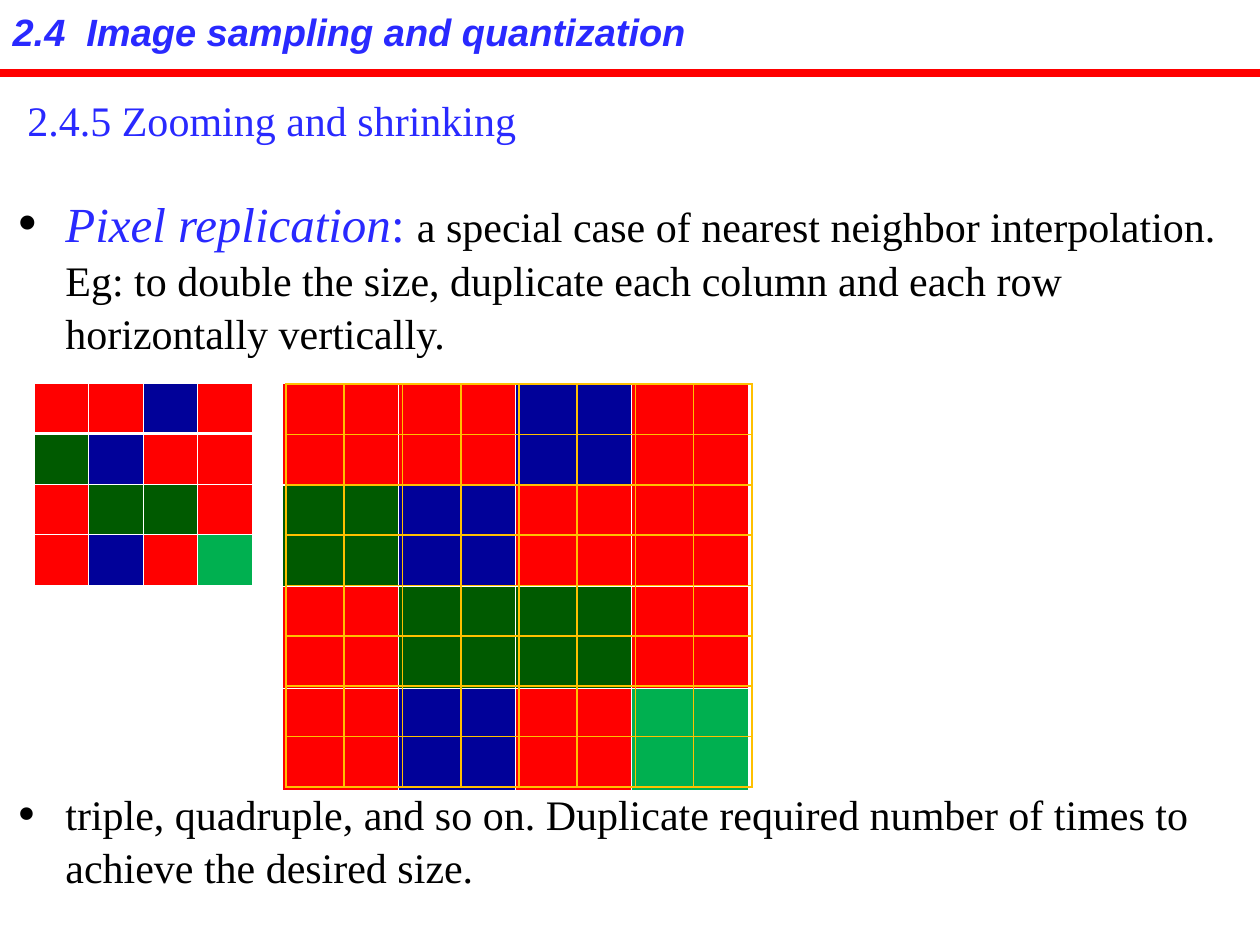
from lxml.etree import SubElement
from pptx import Presentation
from pptx.dml.color import RGBColor
from pptx.enum.shapes import MSO_CONNECTOR
from pptx.enum.text import MSO_ANCHOR, PP_ALIGN
from pptx.oxml.ns import qn
from pptx.util import Emu, Pt

# Content
TITLE = "2.4  Image sampling and quantization"
SUBTITLE = "2.4.5 Zooming and shrinking"
BLUE, BLACK, WHITE, RED, GOLD = "2929FF", "000000", "FFFFFF", "FF0000", "FFC000"
SERIF = "Times New Roman"
# Each bullet: bullet size in percent, space before, runs of (text, size, colour, italic)
BULLETS = [
    (120, 0, [
        ("Pixel replication", 28, BLUE, True),
        (": ", 28, BLUE, False),
        ("a special case of nearest neighbor interpolation. Eg: to double the size, "
         "duplicate each column and each row horizontally vertically.", 24, BLACK, False),
    ]),
    (125, 245, [
        ("triple, quadruple, and so on. Duplicate required number of times to "
         "achieve the desired size.", 24, BLACK, False),
    ]),
]
PIXEL_COLOURS = {"R": RED, "B": "010199", "D": "005A00", "G": "00B050", " ": None}
IMAGE = ["RRBR", "DBRR", "RDDR", "RBRG"]
DOUBLED_GRID = [" " * 8] * 8
# Each table: pixels, (left, top, width, height), line colour, line width, line under first row
TABLES = [
    (IMAGE, (282, 383, 466, 407), WHITE, 0.45, 1.47),
    (IMAGE, (34, 383, 218, 202), WHITE, 0.45, 1.47),
    (DOUBLED_GRID, (286, 384, 466, 403), GOLD, 1.08, 1.08),
]


def px(value):
    return Emu(round(value * 914400 / 126))


def colour(value):
    return RGBColor.from_string(value)


def format_span(span, size, value, name=SERIF, bold=False, italic=False):
    span.font.size = Pt(size)
    span.font.name = name
    span.font.bold = bold
    span.font.italic = italic
    span.font.color.rgb = colour(value)


def add_box(left, top, width, height):
    box = page.shapes.add_textbox(px(left), px(top), px(width), px(height))
    box.text_frame.word_wrap = True
    return box


def add_bullet(para, percent):
    properties = para._p.get_or_add_pPr()
    properties.set("marL", str(px(48)))
    properties.set("indent", str(-px(48)))
    bullet_colour = SubElement(properties, qn("a:buClr"))
    SubElement(bullet_colour, qn("a:srgbClr"), val=BLACK)
    SubElement(properties, qn("a:buSzPct"), val=str(percent * 1000))
    SubElement(properties, qn("a:buFont"), typeface=SERIF)
    SubElement(properties, qn("a:buChar"), char="•")


def set_borders(cell, value, widths):
    properties = cell._tc.get_or_add_tcPr()
    for position, (side, width) in enumerate(widths.items()):
        line = properties.makeelement(qn(f"a:{side}"), {"w": str(Pt(width))})
        fill = SubElement(line, qn("a:solidFill"))
        SubElement(fill, qn("a:srgbClr"), val=value)
        properties.insert(position, line)


def add_pixels(pixels, bounds, line_colour, thin, thick):
    left, top, width, height = bounds
    rows, columns = len(pixels), len(pixels[0])
    frame = page.shapes.add_table(rows, columns, *map(px, bounds))
    table = frame.table
    table.first_row = table.horz_banding = False
    for column in table.columns:
        column.width = px(width / columns)
    for row in table.rows:
        row.height = px(height / rows)
    for r, codes in enumerate(pixels):
        for c, code in enumerate(codes):
            cell = table.cell(r, c)
            cell.margin_top = cell.margin_bottom = 0
            if PIXEL_COLOURS[code]:
                cell.fill.solid()
                cell.fill.fore_color.rgb = colour(PIXEL_COLOURS[code])
            else:
                cell.fill.background()
            set_borders(cell, line_colour, {
                "lnL": thin, "lnR": thin,
                "lnT": thick if r == 1 else thin,
                "lnB": thick if r == 0 else thin,
            })


deck = Presentation()
deck.slide_width, deck.slide_height = px(1260), px(945)
page = deck.slides.add_slide(deck.slide_layouts[5])

# Title
title = page.shapes.title
title.left, title.top, title.width, title.height = px(0), px(6), px(1134), px(60)
title.text_frame.text = TITLE
title.text_frame.vertical_anchor = MSO_ANCHOR.MIDDLE
para = title.text_frame.paragraphs[0]
para.alignment = PP_ALIGN.LEFT
para.line_spacing = 0.8
format_span(para.runs[0], 21.7, BLUE, "Arial", bold=True, italic=True)

# Rule under the title
rule = page.shapes.add_connector(MSO_CONNECTOR.STRAIGHT, px(0), px(73), px(1260), px(73))
rule.line.color.rgb = colour(RED)
rule.line.width = Pt(4.5)
SubElement(rule._element.spPr, qn("a:effectLst"))

# Bullets, with a gap between them for the tables
body = add_box(5, 184, 1226, 741)
for index, (percent, space, spans) in enumerate(BULLETS):
    para = body.text_frame.paragraphs[0] if index == 0 else body.text_frame.add_paragraph()
    para.line_spacing = 1.05
    para.space_before = Pt(space)
    add_bullet(para, percent)
    for text, size, value, italic in spans:
        span = para.add_run()
        span.text = text
        format_span(span, size, value, italic=italic)

# Pixel tables
for entry in TABLES:
    add_pixels(*entry)

# Subtitle
subtitle = add_box(15, 76, 1134, 87)
subtitle.text_frame.text = SUBTITLE
subtitle.text_frame.vertical_anchor = MSO_ANCHOR.MIDDLE
format_span(subtitle.text_frame.paragraphs[0].runs[0], 24, BLUE)

deck.save("out.pptx")
